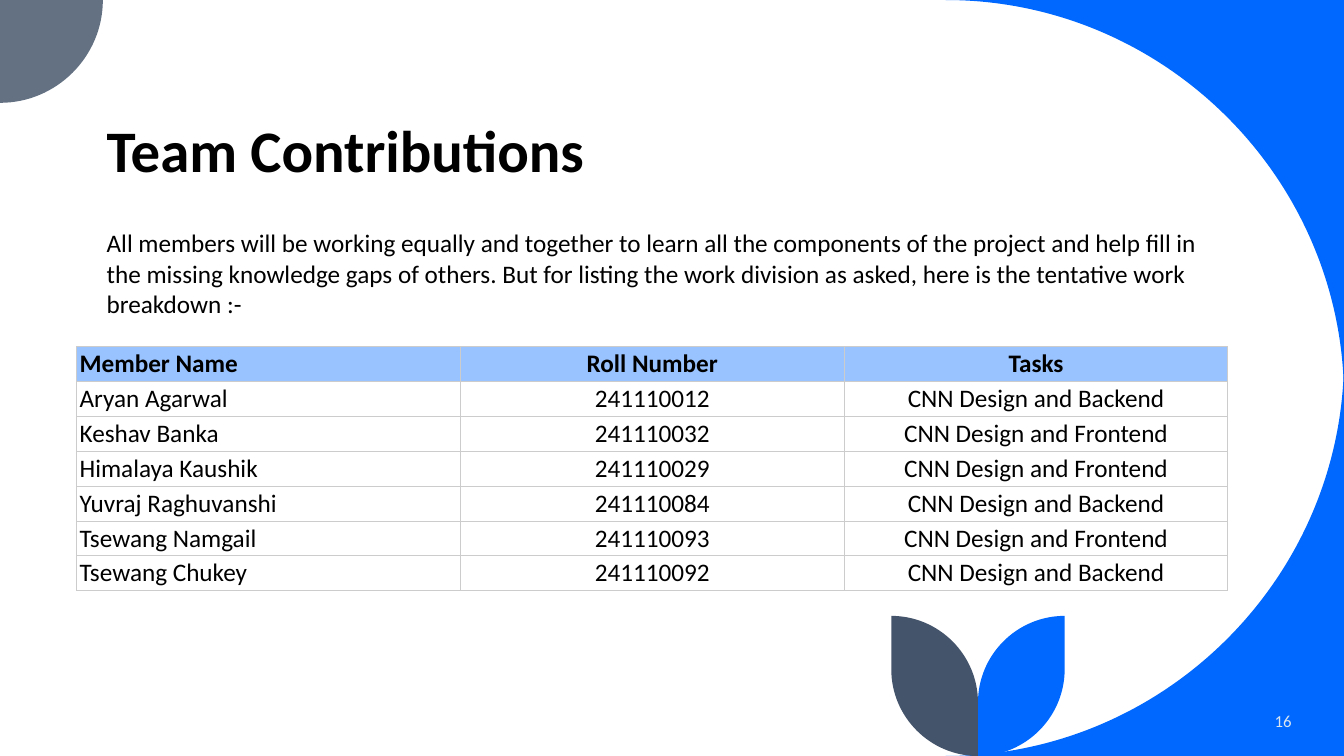
import pptx
import pptx.dml.color
import pptx.enum.text
import pptx.oxml
import pptx.oxml.ns
import pptx.util

Inches, Pt = pptx.util.Inches, pptx.util.Pt
RGBColor = pptx.dml.color.RGBColor
ALIGN, ANCHOR = pptx.enum.text.PP_ALIGN, pptx.enum.text.MSO_ANCHOR
NS = pptx.oxml.ns.nsdecls("a")

BLUE = RGBColor(0x00, 0x68, 0xFF)
SLATE = RGBColor(0x63, 0x71, 0x83)
NAVY = RGBColor(0x44, 0x54, 0x6A)
BLACK = RGBColor(0x00, 0x00, 0x00)
PALE = RGBColor(0xDA, 0xE5, 0xEF)
HEADER_FILL = RGBColor(0x99, 0xC3, 0xFF)
GRID = RGBColor(0xCC, 0xCC, 0xCC)

WIDTH, HEIGHT = 13.33, 7.5
ARC = 0.55  # how far the handles of a quarter arc reach towards its corner
FONT = "Calibri"
INTRO = (
    "All members will be working equally and together to learn all the components "
    "of the project and help fill in the missing knowledge gaps of others. But for "
    "listing the work division as asked, here is the tentative work breakdown :-"
)
MEMBERS = [
    ("Member Name", "Roll Number", "Tasks"),
    ("Aryan Agarwal", "241110012", "CNN Design and Backend"),
    ("Keshav Banka", "241110032", "CNN Design and Frontend"),
    ("Himalaya Kaushik", "241110029", "CNN Design and Frontend"),
    ("Yuvraj Raghuvanshi", "241110084", "CNN Design and Backend"),
    ("Tsewang Namgail", "241110093", "CNN Design and Frontend"),
    ("Tsewang Chukey", "241110092", "CNN Design and Backend"),
]


def towards(point, corner):
    return tuple(a + ARC * (b - a) for a, b in zip(point, corner))


def add_outline(s, start, steps, color):
    """A step is (end,) for a line, or (corner, end) for a quarter arc."""
    points, arcs = [start], []
    for *corner, end in steps:
        if corner:
            arcs.append(len(points) - 1)
            points += [towards(points[-1], corner[0]), towards(end, corner[0])]
        points.append(end)
    points = [(Inches(x), Inches(y)) for x, y in points]
    builder = s.shapes.build_freeform(*points[0], scale=1.0)
    builder.add_line_segments(points[1:], close=True)
    sp = builder.convert_to_shape()
    sp.shadow.inherit = False
    sp.fill.solid()
    sp.fill.fore_color.rgb = color
    sp.line.fill.background()
    # Turn each run of two handles and an end into one curve
    lines = list(sp._element.iter(pptx.oxml.ns.qn("a:lnTo")))
    for first in arcs:
        curve = pptx.oxml.parse_xml(f"<a:cubicBezTo {NS}/>")
        lines[first].addprevious(curve)
        for line in lines[first:first + 3]:
            curve.append(line[0])
            line.getparent().remove(line)


def add_corner(s, corner, dx, dy, color):
    """A slide corner; dx and dy reach to the ends of its arc."""
    x, y = corner
    across, down = (x + dx, y), (x, y + dy)
    return across, down, color


def add_background(s, width, height):
    # Blue corners outside the large curve on the right
    r = 3.95
    for edge, inward in ((0, r), (height, height - r)):
        corner = (width, edge)
        add_outline(s, (width - r, edge),
                    [(corner, (width, inward)), (corner,)], BLUE)
    # Quarter disc at the top left
    d = 1.02
    add_outline(s, (0, 0), [((d, 0),), ((d, d), (0, d))], SLATE)


def add_leaves(s, stem, top, width, height):
    # Two mirrored leaves that meet at the stem
    bottom = top + height
    for tip, color in ((stem + width, BLUE), (stem - width, NAVY)):
        add_outline(s, (tip, top), [
            ((tip, bottom - width),),
            ((tip, bottom), (stem, bottom)),
            ((stem, top + width),),
            ((stem, top), (tip, top)),
        ], color)


def write(tf, text, align=ALIGN.LEFT, spacing=None, color=BLACK, **font):
    p = tf.paragraphs[0]
    p.alignment = align
    if spacing:
        p.line_spacing = spacing
    r = p.add_run()
    r.text = text
    r.font.color.rgb = color
    for name, value in {"name": FONT, "size": Pt(18), "bold": False, **font}.items():
        setattr(r.font, name, value)


def add_text(s, box, text, anchor=ANCHOR.TOP, **style):
    tf = s.shapes.add_textbox(*map(Inches, box)).text_frame
    tf.word_wrap = True
    tf.vertical_anchor = anchor
    write(tf, text, **style)


def add_borders(cell):
    tcPr = cell._tc.get_or_add_tcPr()
    for place, side in enumerate(("lnL", "lnR", "lnT", "lnB")):
        ln = pptx.oxml.parse_xml(
            f'<a:{side} {NS} w="{Pt(0.75)}"><a:solidFill>'
            f'<a:srgbClr val="{GRID}"/></a:solidFill></a:{side}>'
        )
        tcPr.insert(place, ln)


def add_member_table(s, box, rows):
    frame = s.shapes.add_table(len(rows), len(rows[0]), *map(Inches, box))
    table = frame.table
    table.horz_banding = False
    margins = {
        "margin_left": Inches(0.03), "margin_right": Inches(0.03),
        "margin_top": Inches(0.02), "margin_bottom": Inches(0.02),
        "vertical_anchor": ANCHOR.BOTTOM,
    }
    for i, row in enumerate(rows):
        for j, text in enumerate(row):
            cell = table.cell(i, j)
            for name, value in margins.items():
                setattr(cell, name, value)
            if i == 0:
                cell.fill.solid()
                cell.fill.fore_color.rgb = HEADER_FILL
            else:
                cell.fill.background()
            add_borders(cell)
            align = ALIGN.CENTER if j else ALIGN.LEFT
            write(cell.text_frame, text, align=align, bold=i == 0)


def main():
    prs = pptx.Presentation()
    prs.slide_width, prs.slide_height = Inches(WIDTH), Inches(HEIGHT)
    s = prs.slides.add_slide(prs.slide_layouts[6])
    # Decoration
    add_background(s, WIDTH, HEIGHT)
    add_leaves(s, 9.7, 6.11, 0.86, 1.39)
    # Content
    add_text(s, (0.96, 0.11, 11.42, 1.76), "Team Contributions",
             anchor=ANCHOR.BOTTOM, spacing=0.8, size=Pt(42), bold=True)
    add_member_table(s, (0.76, 3.44, 11.42, 2.42), MEMBERS)
    add_text(s, (0.96, 2.21, 11.04, 1.01), INTRO)
    # Slide number
    add_text(s, (11.1, 6.95, 1.81, 0.4), "16", anchor=ANCHOR.MIDDLE,
             align=ALIGN.RIGHT, size=Pt(12), color=PALE)
    prs.save("out.pptx")


if __name__ == "__main__":
    main()
